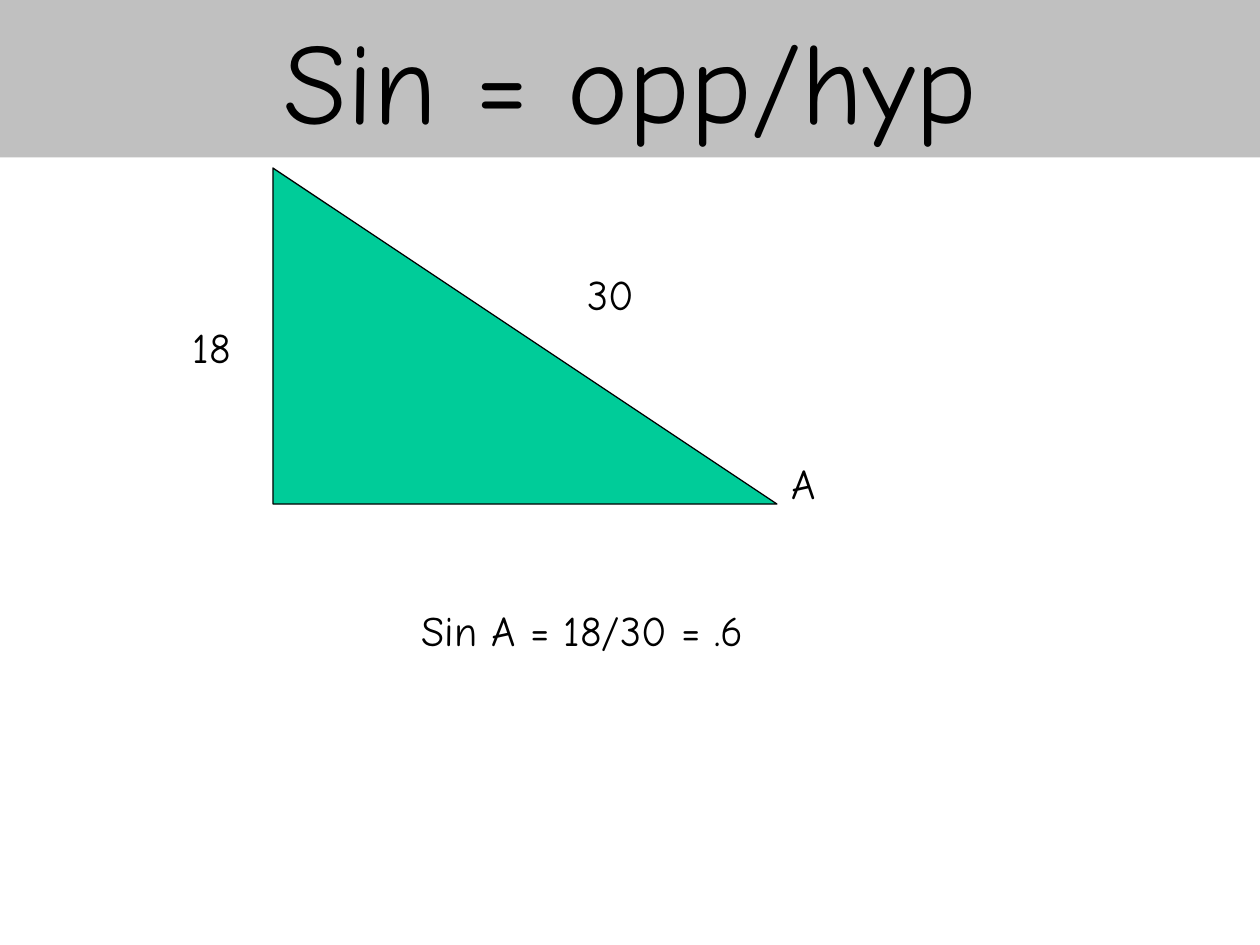
from pptx import Presentation
from pptx.dml.color import RGBColor
from pptx.enum.shapes import MSO_SHAPE as Shape
from pptx.enum.text import MSO_ANCHOR as Anchor, MSO_AUTO_SIZE as AutoSize, PP_ALIGN as Align
from pptx.util import Pt

BLACK = RGBColor(0x00, 0x00, 0x00)
GREY = RGBColor(0xC0, 0xC0, 0xC0)
GREEN = RGBColor(0x00, 0xCC, 0x99)
FONT = "Comic Neue"


def place(shape, left, top, width, height):
    shape.left, shape.top = Pt(left), Pt(top)
    shape.width, shape.height = Pt(width), Pt(height)


def write(shape, text, size):
    """Set one centred line of text and format its run."""
    frame = shape.text_frame
    frame.auto_size = AutoSize.NONE
    frame.text = text
    para = frame.paragraphs[0]
    para.alignment = Align.CENTER
    font = para.runs[0].font
    font.name, font.size = FONT, Pt(size)
    font.color.rgb = BLACK


def add_title(page, text, left, top, width, height):
    title = page.shapes.title
    place(title, left, top, width, height)
    title.fill.solid()
    title.fill.fore_color.rgb = GREY
    write(title, text, 66)
    title.text_frame.vertical_anchor = Anchor.MIDDLE


def add_label(page, text, left, top, width, height):
    box = page.shapes.add_textbox(Pt(left), Pt(top), Pt(width), Pt(height))
    write(box, text, 24)
    box.text_frame.word_wrap = False


def add_triangle(page, left, top, width, height):
    """Draw the right triangle with its side lengths and angle name."""
    triangle = page.shapes.add_shape(
        Shape.RIGHT_TRIANGLE, Pt(left), Pt(top), Pt(width), Pt(height))
    triangle.shadow.inherit = False
    triangle.fill.solid()
    triangle.fill.fore_color.rgb = GREEN
    triangle.line.color.rgb = BLACK
    triangle.line.width = Pt(0.75)

    labels = [("30", 150, 54, 86), ("18", -78, 84, 86), ("A", 282, 162, 43)]
    for text, across, down, label_width in labels:
        add_label(page, text, left + across, top + down, label_width, 50)


def main():
    deck = Presentation()
    deck.slide_width, deck.slide_height = Pt(720), Pt(540)
    page = deck.slides.add_slide(deck.slide_layouts[5])
    add_title(page, "Sin = opp/hyp", 0, 0, 720, 90)
    add_triangle(page, 156, 96, 288, 192)
    add_label(page, "Sin A = 18/30 = .6", 60, 342, 546, 102)
    deck.save("out.pptx")


if __name__ == "__main__":
    main()
